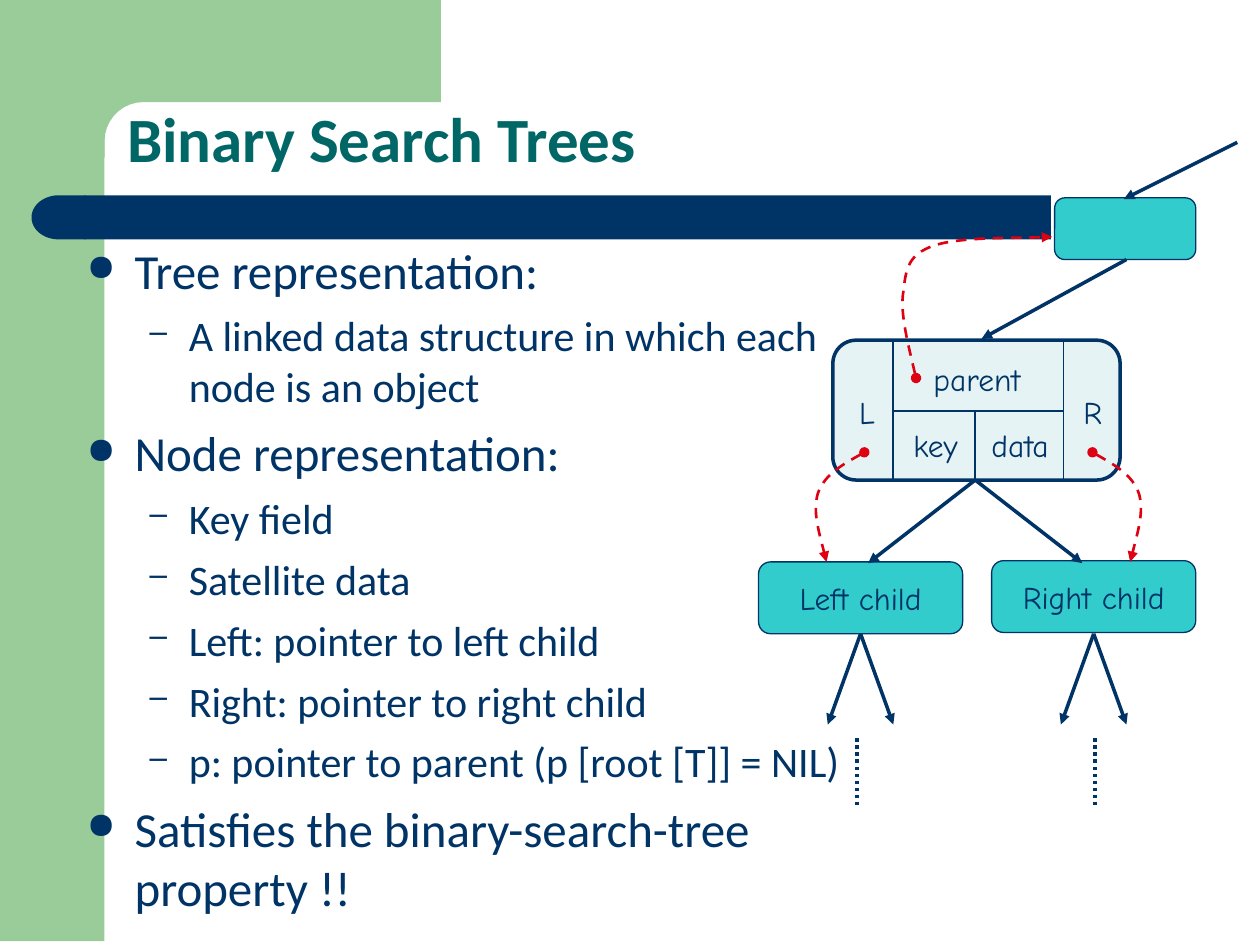
from dataclasses import dataclass
from math import cos, radians, sin
from typing import NamedTuple

from lxml.etree import SubElement
from pptx import Presentation
from pptx.dml.color import RGBColor
from pptx.enum.dml import MSO_LINE
from pptx.enum.shapes import MSO_CONNECTOR, MSO_SHAPE
from pptx.enum.text import MSO_ANCHOR, PP_ALIGN
from pptx.oxml.ns import qn
from pptx.util import Inches, Pt

RECT, ROUND = MSO_SHAPE.RECTANGLE, MSO_SHAPE.ROUNDED_RECTANGLE
DELAY = MSO_SHAPE.FLOWCHART_DELAY
STRAIGHT = MSO_CONNECTOR.STRAIGHT
DASH, DOTS = MSO_LINE.DASH, MSO_LINE.ROUND_DOT
MIDDLE, BOTTOM = MSO_ANCHOR.MIDDLE, MSO_ANCHOR.BOTTOM
CENTER = PP_ALIGN.CENTER


@dataclass(frozen=True)
class Theme:
    green: str = "99CC99"
    navy: str = "003366"
    title: str = "006666"
    teal: str = "33CCCC"
    pale: str = "E5F3F5"
    red: str = "DD0111"
    font: str = "Calibri"
    hand: str = "Comic Neue"
    title_size: int = 36
    label_size: int = 18


class Level(NamedTuple):
    mark: str
    size: int
    left: float
    hang: float
    before: int


class Item(NamedTuple):
    level: int
    text: str


class Box(NamedTuple):
    left: float
    top: float
    width: float
    height: float


class Child(NamedTuple):
    text: str
    box: Box
    entry: float
    mid: float
    dots: float


Point = tuple[float, float]
THEME = Theme()
LEVELS = (Level("●", 28, 0.38, 0.38, 7), Level("–", 24, 0.81, 0.31, 6))
ITEMS = (
    Item(0, "Tree representation:"),
    Item(1, "A linked data structure in which each node is an object"),
    Item(0, "Node representation:"),
    Item(1, "Key field"),
    Item(1, "Satellite data"),
    Item(1, "Left: pointer to left child"),
    Item(1, "Right: pointer to right child"),
    Item(1, "p: pointer to parent (p [root [T]] = NIL)"),
    Item(0, "Satisfies the binary-search-tree property !!"),
)
NODE = Box(6.61, 2.7, 2.28, 1.11)
FIELDS = {
    "L": Box(6.72, 3.07, 0.32, 0.4),
    "R": Box(8.5, 3.07, 0.35, 0.4),
    "parent": Box(7.31, 2.81, 0.89, 0.4),
    "key": Box(7.15, 3.33, 0.56, 0.4),
    "data": Box(7.77, 3.33, 0.66, 0.4),
}
CHILDREN = (
    Child("Left child", Box(6.02, 4.46, 1.62, 0.57), 6.89, 6.83, 6.8),
    Child("Right child", Box(7.87, 4.45, 1.62, 0.57), 8.59, 8.68, 8.69),
)
FORK = (7.74, 3.81)
LEFT_LINK = [(6.86, 3.59), (6.7, 3.68), (6.54, 3.77), (6.49, 3.92),
             (6.45, 4.06), (6.51, 4.26), (6.56, 4.46)]
RIGHT_LINK = [(15.53 - x, y) for x, y in LEFT_LINK]
PARENT_LINK = [(7.27, 3), (7.21, 2.74), (7.14, 2.48), (7.17, 2.31), (7.19, 2.13),
               (7.21, 2.02), (7.41, 1.95), (7.61, 1.88), (8.2, 1.89), (8.35, 1.88)]


def color(code: str) -> RGBColor:
    return RGBColor.from_string(code)


def lengths(values) -> list:
    return [Inches(value) for value in values]


def style(part, font: str, size: int, code: str, bold: bool = False) -> None:
    for run in part.runs:
        run.font.name, run.font.size, run.font.bold = font, Pt(size), bold
        run.font.color.rgb = color(code)


def draw_shape(shapes, kind, box: Box, fill: str, edge: float = 0):
    shape = shapes.add_shape(kind, *lengths(box))
    shape.shadow.inherit = False
    shape.fill.solid()
    shape.fill.fore_color.rgb = color(fill)
    if edge:
        shape.line.color.rgb = color(THEME.navy)
        shape.line.width = Pt(edge)
    else:
        shape.line.fill.background()
    return shape


def draw_text(shapes, box: Box, text: str):
    frame = shapes.add_textbox(*lengths(box)).text_frame
    frame.text = text
    return frame


def add_end(shape, side: str, kind: str) -> None:
    SubElement(shape.line._ln, qn(f"a:{side}End"), type=kind)


def draw_line(shapes, start: Point, end: Point, width: float = 2,
              arrow: bool = False, dash=None) -> None:
    line = shapes.add_connector(STRAIGHT, *lengths(start + end))
    line.line.color.rgb = color(THEME.navy)
    line.line.width = Pt(width)
    if dash:
        line.line.dash_style = dash
    if arrow:
        add_end(line, "tail", "triangle")
    SubElement(line._element.spPr, qn("a:effectLst"))


def draw_free(shapes, points: list[Point], close: bool):
    start, *rest = [lengths(point) for point in points]
    maker = shapes.build_freeform(*start)
    maker.add_line_segments(rest, close=close)
    shape = maker.convert_to_shape()
    shape.shadow.inherit = False
    return shape


def draw_link(shapes, points: list[Point]) -> None:
    """Draw a dashed Bezier pointer; each three points after the first make a curve."""
    shape = draw_free(shapes, points, False)
    steps = list(shape._element.iter(qn("a:lnTo")))
    for first in range(0, len(steps), 3):
        curve = SubElement(steps[first].getparent(), qn("a:cubicBezTo"))
        for step in steps[first:first + 3]:
            curve.append(step[0])
            step.getparent().remove(step)
    shape.fill.background()
    shape.line.color.rgb = color(THEME.red)
    shape.line.width = Pt(1.5)
    shape.line.dash_style = DASH
    add_end(shape, "head", "oval")
    add_end(shape, "tail", "triangle")


def draw_frame(shapes) -> None:
    """Draw the green side with its rounded inner corner, and the navy bar."""
    draw_shape(shapes, RECT, Box(0, -0.03, 0.83, 7.5), THEME.green)
    arc = [(1.14 + 0.31 * cos(radians(turn)), 1.12 + 0.31 * sin(radians(turn)))
           for turn in range(270, 179, -10)]
    edge = [(0.5, -0.03), (3.5, -0.03), (3.5, 0.81), *arc, (0.83, 1.25), (0.5, 1.25)]
    corner = draw_free(shapes, edge, True)
    corner.fill.solid()
    corner.fill.fore_color.rgb = color(THEME.green)
    corner.line.fill.background()
    draw_shape(shapes, RECT, Box(0.67, 1.55, 7.67, 0.35), THEME.navy)
    draw_shape(shapes, DELAY, Box(0.25, 1.55, 0.43, 0.35), THEME.navy).rotation = 180


def draw_body(shapes) -> None:
    frame = draw_text(shapes, Box(0.59, 1.86, 6.43, 5.93),
                      "\n".join(item.text for item in ITEMS))
    frame.word_wrap = True
    for index, (part, item) in enumerate(zip(frame.paragraphs, ITEMS)):
        level = LEVELS[item.level]
        part.level = item.level
        props = part._p.get_or_add_pPr()
        props.set("marL", str(Inches(level.left)))
        props.set("indent", str(-Inches(level.hang)))
        tint = SubElement(props, qn("a:buClr"))
        SubElement(tint, qn("a:srgbClr"), val=THEME.navy)
        SubElement(props, qn("a:buSzPct"), val="75000")
        SubElement(props, qn("a:buChar"), char=level.mark)
        part.space_before = Pt(level.before if index else 0)
        style(part, THEME.font, level.size, THEME.navy)


def draw_tree(shapes) -> None:
    draw_shape(shapes, ROUND, Box(8.37, 1.57, 1.12, 0.49), THEME.teal, 0.75)
    draw_shape(shapes, ROUND, NODE, THEME.pale, 2)
    for start, end in (((7.09, 2.7), (7.09, 3.81)), ((8.44, 2.7), (8.44, 3.81)),
                       ((7.09, 3.26), (8.44, 3.26)), ((7.74, 3.26), FORK)):
        draw_line(shapes, start, end, 1)
    for text, box in FIELDS.items():
        frame = draw_text(shapes, box, text)
        frame.word_wrap = False
        style(frame.paragraphs[0], THEME.hand, THEME.label_size, THEME.navy)
    draw_line(shapes, (9.82, 1.13), (8.92, 1.58), arrow=True)
    draw_line(shapes, (8.94, 2.06), (7.79, 2.69), arrow=True)
    for child in CHILDREN:
        frame = draw_shape(shapes, ROUND, child.box, THEME.teal, 0.75).text_frame
        frame.text = child.text
        frame.word_wrap = False
        frame.vertical_anchor = MIDDLE
        frame.paragraphs[0].alignment = CENTER
        style(frame.paragraphs[0], THEME.hand, THEME.label_size, THEME.navy)
        draw_line(shapes, FORK, (child.entry, 4.47), arrow=True)
        for shift in (-0.26, 0.26):
            draw_line(shapes, (child.mid, 5.03), (child.mid + shift, 5.75), arrow=True)
        draw_line(shapes, (child.dots, 5.86), (child.dots, 6.4), dash=DOTS)
    for link in (LEFT_LINK, RIGHT_LINK, PARENT_LINK):
        draw_link(shapes, link)


def main() -> None:
    deck = Presentation()
    deck.slide_width, deck.slide_height = Inches(10), Inches(7.5)
    shapes = deck.slides.add_slide(deck.slide_layouts[6]).shapes
    draw_frame(shapes)
    title = draw_text(shapes, Box(0.91, 0.36, 8.51, 1.09), "Binary Search Trees")
    title.word_wrap = True
    title.vertical_anchor = BOTTOM
    title.paragraphs[0].line_spacing = 0.9
    style(title.paragraphs[0], THEME.font, THEME.title_size, THEME.title, True)
    draw_body(shapes)
    draw_tree(shapes)
    deck.save("out.pptx")


if __name__ == "__main__":
    main()
